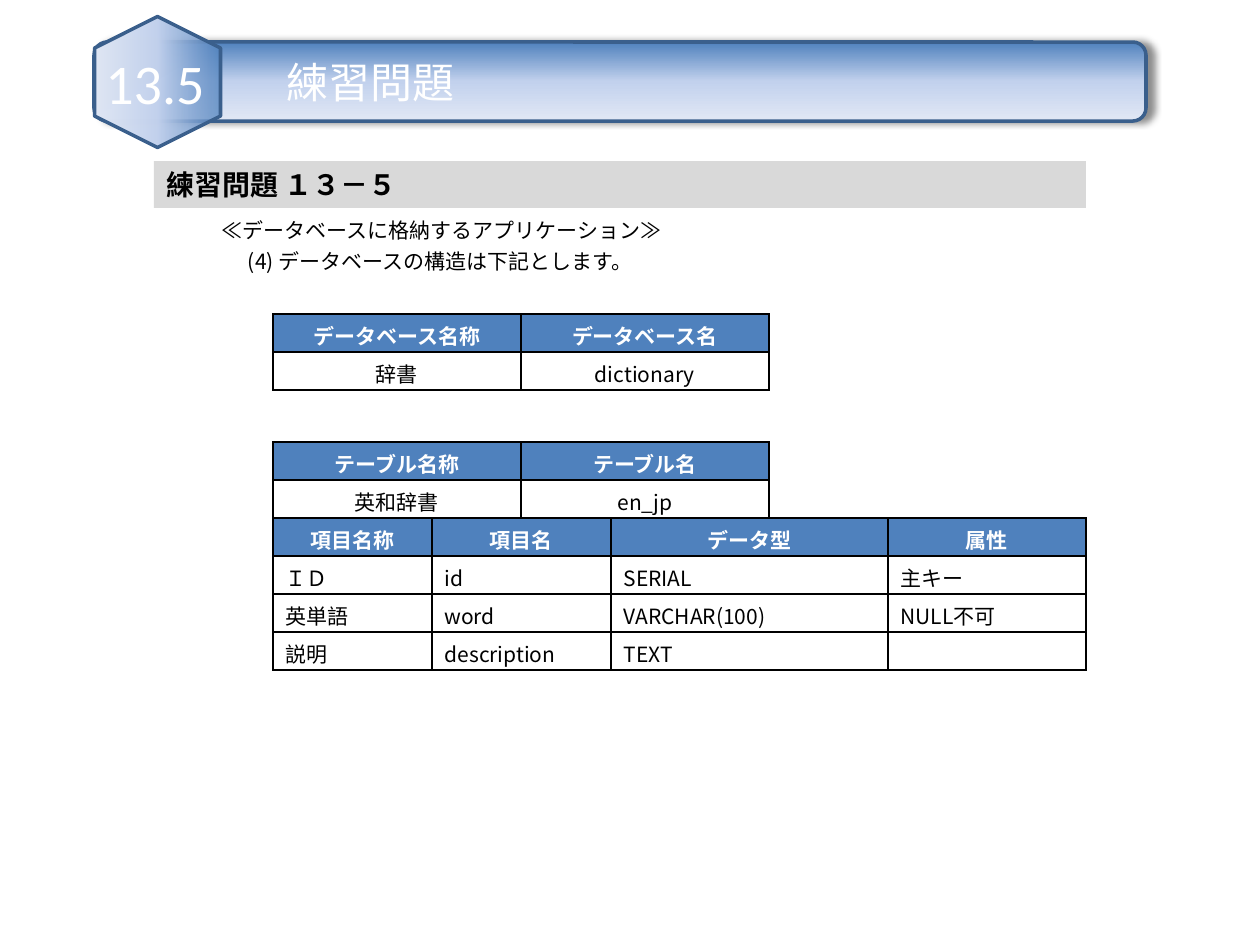
from lxml.etree import SubElement as Sub
from pptx import Presentation
from pptx.dml.color import RGBColor as RGB
from pptx.enum.shapes import MSO_SHAPE as Kind
from pptx.enum.text import MSO_ANCHOR as Anchor, PP_ALIGN as Align
from pptx.oxml.ns import qn
from pptx.util import Emu, Pt

DPI = 126
BLUE, EDGE, GRAY = "4F81BD", "3A5F8C", "D9D9D9"
WHITE, BLACK = "FFFFFF", "000000"
JP = "Noto Sans CJK JP"


def px(n):
    return Emu(round(n * 914400 / DPI))


def color(code):
    return RGB.from_string(code)


def node(up, tag, **attrs):
    return Sub(up, qn("a:" + tag), {k: str(v) for k, v in attrs.items()})


def tint(up, code, alpha=100):
    """Add a colour, with its opacity in percent."""
    clr = node(up, "srgbClr", val=code)
    if alpha < 100:
        node(clr, "alpha", val=alpha * 1000)


class Deck:
    def __init__(self, wide, high):
        self.prs = Presentation()
        self.prs.slide_width, self.prs.slide_height = px(wide), px(high)
        self.slide = self.prs.slides.add_slide(self.prs.slide_layouts[6])
        self.shapes = self.slide.shapes

    def run(self, par, text, size, ink=BLACK, font=JP, bold=False):
        run = par.add_run()
        run.text = text
        face = run.font
        face.size, face.bold, face.name = Pt(size), bold, font
        face.color.rgb = color(ink)
        node(run._r.rPr, "ea", typeface=JP)

    def frame(self, shape, left=0, top=0, anchor=Anchor.MIDDLE, wrap=True):
        frame = shape.text_frame
        frame.word_wrap, frame.vertical_anchor = wrap, anchor
        frame.margin_left, frame.margin_top = px(left), px(top)
        frame.margin_right = frame.margin_bottom = 0
        return frame

    def text(self, box, lines, size, align=Align.LEFT, gap=0, **look):
        """Fill a text frame with (indent, text) lines."""
        for i, (dent, line) in enumerate(lines):
            par = box.add_paragraph() if i else box.paragraphs[0]
            par.alignment = align
            par.space_before = Pt(gap if i else 0)
            if dent:
                par._p.get_or_add_pPr().set("marL", str(px(dent)))
            self.run(par, line, size, **look)

    def label(self, x, y, w, h, lines, size, left=0, top=0,
              anchor=Anchor.MIDDLE, wrap=True, **look):
        box = self.shapes.add_textbox(px(x), px(y), px(w), px(h))
        self.text(self.frame(box, left, top, anchor, wrap), lines, size, **look)

    def shape(self, kind, x, y, w, h, fill=None):
        shape = self.shapes.add_shape(kind, px(x), px(y), px(w), px(h))
        shape.shadow.inherit = False
        if fill:
            shape.fill.solid()
            shape.fill.fore_color.rgb = color(fill)
            shape.line.fill.background()
        return shape

    def badge(self, kind, x, y, w, h, alpha=100, turn=0):
        """Outlined shape with the blue gradient."""
        shape = self.shape(kind, x, y, w, h)
        shape.rotation = turn
        shape.line.color.rgb, shape.line.width = color(EDGE), Pt(2)
        shape.fill.gradient()
        grad = shape._element.spPr.find(qn("a:gradFill"))
        for kid in list(grad):
            grad.remove(kid)
        stops = node(grad, "gsLst")
        for pos, code, solid in ((0, BLUE, alpha), (50, "C2D1ED", 100),
                                 (100, "E1E8F5", 100)):
            tint(node(stops, "gs", pos=pos * 1000), code, solid)
        node(grad, "lin", ang=90 * 60000, scaled=0)
        return shape

    def shadow(self, shape, alpha, blur, dist):
        list_ = shape._element.spPr.find(qn("a:effectLst"))
        cast = node(list_, "outerShdw", blurRad=Pt(blur), dist=Pt(dist),
                    dir=0, algn="l", rotWithShape=0)
        tint(cast, BLACK, alpha)

    def cell(self, cell, text, head, align):
        cell.vertical_anchor = Anchor.MIDDLE
        cell.margin_top, cell.margin_bottom = px(6), px(1)
        props = cell._tc.get_or_add_tcPr()
        for side in ("lnL", "lnR", "lnT", "lnB"):
            tint(node(node(props, side, w=Pt(1)), "solidFill"), BLACK)
        cell.fill.solid()
        cell.fill.fore_color.rgb = color(BLUE if head else WHITE)
        if text:
            self.text(cell.text_frame, [(0, text)], 12, align,
                      ink=WHITE if head else BLACK, bold=head)
        else:
            par = cell.text_frame.paragraphs[0]
            node(par._p, "endParaRPr", sz=1200)

    def table(self, x, y, cols, high, rows, align):
        """Table with a blue head row; align is for the body rows."""
        grid = self.shapes.add_table(len(rows), len(cols), px(x), px(y),
                                     px(sum(cols)), px(high * len(rows))).table
        for col, wide in zip(grid.columns, cols):
            col.width = px(wide)
        for r, row in enumerate(rows):
            grid.rows[r].height = px(high)
            for c, text in enumerate(row):
                self.cell(grid.cell(r, c), text, r == 0,
                          align if r else Align.CENTER)


def main():
    deck = Deck(1260, 945)

    # Intro lines
    deck.label(209, 214, 471, 74,
               [(0, "≪データベースに格納するアプリケーション≫"),
                (26, "(4) データベースの構造は下記とします。")],
               12, left=13, top=4, anchor=Anchor.TOP, wrap=False, gap=3)

    # Title bar and number badge
    bar = deck.badge(Kind.ROUNDED_RECTANGLE, 94, 42, 1052, 79)
    deck.shadow(bar, 43, 4, 4)
    deck.text(deck.frame(bar, left=189), [(0, "練習問題")], 24,
              ink=WHITE, font="Arial")
    deck.badge(Kind.HEXAGON, 92, 19, 131, 126, alpha=74, turn=90)
    deck.label(94, 48, 122, 68, [(0, "13.5")], 32, align=Align.CENTER,
               ink=WHITE, font="Calibri")

    # Section heading
    band = deck.shape(Kind.RECTANGLE, 154, 161, 932, 47, GRAY)
    deck.text(deck.frame(band, left=13), [(0, "練習問題 １３－５")], 16, bold=True)

    # Database, table and column definitions
    left, high, pair = 273, 38, (248, 248)
    deck.table(left, 314, pair, high,
               [("データベース名称", "データベース名"),
                ("辞書", "dictionary")], Align.CENTER)
    deck.table(left, 442, pair, high,
               [("テーブル名称", "テーブル名"),
                ("英和辞書", "en_jp")], Align.CENTER)
    deck.table(left, 518, (159, 179, 277, 198), high,
               [("項目名称", "項目名", "データ型", "属性"),
                ("ＩＤ", "id", "SERIAL", "主キー"),
                ("英単語", "word", "VARCHAR(100)", "NULL不可"),
                ("説明", "description", "TEXT", "")], Align.LEFT)

    deck.prs.save("out.pptx")


if __name__ == "__main__":
    main()
